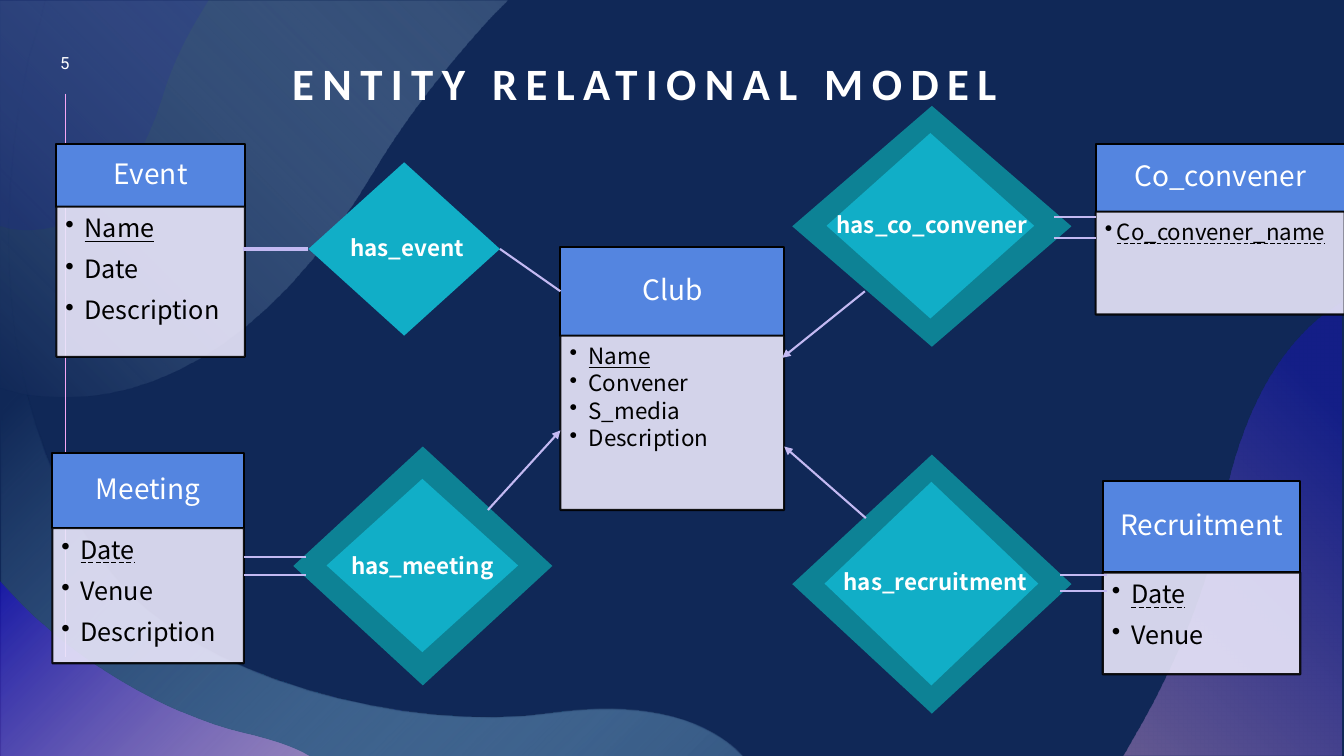
from dataclasses import dataclass

from lxml.etree import SubElement
from pptx import Presentation
from pptx.dml.color import RGBColor as RGB
from pptx.enum.shapes import MSO_CONNECTOR as CONN, MSO_SHAPE as SHAPE
from pptx.enum.text import MSO_ANCHOR as ANCHOR, MSO_UNDERLINE as UNDERLINE, PP_ALIGN as ALIGN
from pptx.oxml.ns import qn
from pptx.util import Inches, Pt

COLS, ROWS = 133.33, 75  # slide grid
CELL = Inches(0.1)
LEFT, RIGHT = 1, 3  # connection sites


@dataclass(frozen=True)
class Theme:
    back: str = "102857"
    head: str = "5485E0"
    body: str = "E9E6FA"
    ring: str = "0D8295"
    diamond: str = "11AEC7"
    link: str = "C3B9F2"
    rule: str = "F6A6F4"
    light: str = "FFFFFF"
    dark: str = "000000"
    title_font: str = "Calibri"
    number_font: str = "Roboto"
    font: str = "Noto Sans CJK SC"
    title_size: float = 32
    head_size: float = 20
    field_size: float = 18
    small_size: float = 16
    number_size: float = 12


T = Theme()

# Each wave: start, segments (2 numbers = line, 6 = cubic curve), fill.
# A fill is (colour, opacity) or (stops, focus rectangle or angle).
WAVES = [
    ((0.2, 0), [(4.6, 0), (4.5, 0.2), (4.1, 2, 3.6, 3.8, 2.9, 5.8),
                (-2.2, 29.5, 3.2, 46.5, 11.1, 56.8), (18.9, 67.2, 40.7, 72.8, 54.8, 70.7),
                (63.4, 69.5, 69.3, 71.1, 72.9, 74.2), (73.7, 75), (0.2, 75)],
     ([(0, "92CDF0", 30), (73, T.back, 100)], (100, 100, 0, 0))),
    ((0.1, 0.1), [(50.3, 0.1), (48.8, 1.6), (44.3, 6.5, 40.3, 11.6, 37.3, 16.6),
                  (26.3, 35.3, 13.4, 40.9, 2.3, 39), (0.1, 38.4)],
     ([(0, T.back, 56), (99, "BEE1F6", 20)], 315)),
    ((0, 0), [(20.7, 0), (20.1, 1), (18.3, 3.9, 16.9, 6.9, 16.1, 9.7),
              (12.8, 20.2, 6.7, 23.6, 1, 22.7), (0, 22.4)],
     ("180DC2", 11)),
    ((0, 57.6), [(1.1, 58.8), (7.1, 65.4, 16.5, 70.9, 24.2, 72.7),
                 (26.4, 73.2, 28.4, 73.8, 30, 74.6), (30.7, 75), (0, 75)],
     ([(0, "F6A6F4", 45), (98, "180DC2", 67)], (100, 100, 0, 0))),
    ((133.1, 29.9), [(133.1, 75), (111.5, 75), (112.7, 72.9),
                     (116.9, 65.6, 120, 57.8, 121.2, 50.9),
                     (123.1, 40.9, 126.8, 34.6, 131.5, 31)],
     ([(0, "F7AFF5", 36), (83, "1C0FE1", 35)], (0, 100, 100, 0))),
]

KEY, PARTIAL_KEY = UNDERLINE.SINGLE_LINE, UNDERLINE.DASH_LINE
TIGHT = dict(before=0, after=2.4)
CARDS = [  # left, top, width, head height, body height, name, fields, key underline, list format
    (108.7, 14.3, 24.7, 6.7, 10.2, "Co_convener", ["Co_convener_name"], PARTIAL_KEY,
     dict(size=15.9, indent=1.2, **TIGHT)),
    (109.4, 47.7, 19.6, 9.1, 10.1, "Recruitment", ["Date", "Venue"], PARTIAL_KEY, {}),
    (55.6, 24.5, 22.2, 8.8, 17.3, "Club", ["Name", "Convener", "S_media", "Description"], KEY,
     dict(size=T.small_size, **TIGHT)),
    (5.2, 44.9, 19, 7.5, 13.4, "Meeting", ["Date", "Venue", "Description"], PARTIAL_KEY, {}),
    (5.6, 14.3, 18.7, 6.2, 14.9, "Event", ["Name", "Date", "Description"], KEY, {}),
]

RELATIONS = [  # name, ring box, diamond box, label box, label alignment
    ("has_event", None, (30.6, 16.1, 19, 17.2), (30.4, 22.7, 20, 7.1), ALIGN.CENTER),
    ("has_meeting", (29.1, 44.3, 25.7, 23.7), (32.4, 47.5, 19, 17.2),
     (33.1, 54.3, 17.6, 6.7), ALIGN.CENTER),
    ("has_co_convener", (78.6, 10.5, 27.7, 23.9), (82, 13.2, 20.6, 18.4),
     (82, 20.5, 21.9, 6.4), ALIGN.LEFT),
    ("has_recruitment", (78.6, 45.1, 27.7, 25.7), (81.8, 47.8, 21.2, 20.2),
     (82.7, 55.9, 20.4, 6.4), ALIGN.LEFT),
]

ARROWS = [(48.4, 50.6, 55.6, 42.7), (85.9, 51.4, 77.8, 44.3), (85.8, 28.9, 77.6, 35.5)]
DOUBLE_LINKS = [(24.2, 30.4, (55.3, 57)), (105.2, 109.8, (57, 58.6)), (104.6, 108.7, (21.5, 23.6))]


def grid(*cells):
    return [round(c * CELL) for c in cells]


def assign(obj, **values):
    for name, value in values.items():
        setattr(obj, name, value)


def set_opacity(sp, percent):
    for color in sp._element.spPr.iter(qn("a:srgbClr")):
        SubElement(color, qn("a:alpha"), val=str(percent * 1000))


def paint(sp, color, line=None):
    sp.shadow.inherit = False
    sp.fill.solid()
    sp.fill.fore_color.rgb = RGB.from_string(color)
    if line:
        sp.line.color.rgb = RGB.from_string(line)
        sp.line.width = Pt(1.5)
    else:
        sp.line.fill.background()


def paint_gradient(sp, stops, direction):
    """Direction is an angle in degrees, or the focus rectangle of a round gradient."""
    paint(sp, T.back)
    sp.fill.background()
    pr = sp._element.spPr
    grad = pr.makeelement(qn("a:gradFill"), rotWithShape="1")
    pr.replace(pr.find(qn("a:noFill")), grad)
    stop_list = SubElement(grad, qn("a:gsLst"))
    for pos, color, opacity in stops:
        gs = SubElement(stop_list, qn("a:gs"), pos=str(pos * 1000))
        clr = SubElement(gs, qn("a:srgbClr"), val=color)
        SubElement(clr, qn("a:alpha"), val=str(opacity * 1000))
    if isinstance(direction, tuple):
        circle = SubElement(grad, qn("a:path"), path="circle")
        SubElement(circle, qn("a:fillToRect"),
                   **{side: str(v * 1000) for side, v in zip("ltrb", direction)})
    else:
        SubElement(grad, qn("a:lin"), ang=str(direction * 60000), scaled="0")


def outline(start, segments, steps=16):
    """Points along the segments, with the curves divided into short steps."""
    points = [start]
    for seg in segments:
        if len(seg) == 2:
            points.append(seg)
            continue
        ctrl = [points[-1], seg[:2], seg[2:4], seg[4:]]
        for t in (i / steps for i in range(1, steps + 1)):
            weights = (1 - t) ** 3, 3 * t * (1 - t) ** 2, 3 * t * t * (1 - t), t ** 3
            points.append(tuple(sum(w * c[axis] for w, c in zip(weights, ctrl)) for axis in (0, 1)))
    return points


def add_wave(shapes, start, segments, fill):
    first, *rest = [grid(*pt) for pt in outline(start, segments)]
    builder = shapes.build_freeform(*first, scale=1.0)
    builder.add_line_segments(rest, close=True)
    sp = builder.convert_to_shape()
    if isinstance(fill[0], str):
        paint(sp, fill[0])
        set_opacity(sp, fill[1])
    else:
        paint_gradient(sp, *fill)


def write(p, text, size, color=T.light, name=T.font, **font):
    r = p.add_run()
    r.text = text
    assign(r.font, name=name, size=Pt(size), **font)
    r.font.color.rgb = RGB.from_string(color)
    return r


def add_label(shapes, box, text, size, align=ALIGN.LEFT, anchor=ANCHOR.TOP, **font):
    tf = shapes.add_textbox(*grid(*box)).text_frame
    assign(tf, word_wrap=True, vertical_anchor=anchor)
    tf.paragraphs[0].alignment = align
    return write(tf.paragraphs[0], text, size, **font)


def add_panel(shapes, box, color, anchor, margins):
    sp = shapes.add_shape(SHAPE.RECTANGLE, *grid(*box))
    paint(sp, color, T.dark)
    left, top, right, bottom = grid(*margins)
    assign(sp.text_frame, word_wrap=True, vertical_anchor=anchor, margin_left=left,
           margin_top=top, margin_right=right, margin_bottom=bottom)
    return sp


def write_fields(tf, fields, underline, size=T.field_size, indent=1.9, before=1, after=9):
    for i, field in enumerate(fields):
        p = tf.add_paragraph() if i else tf.paragraphs[0]
        assign(p, alignment=ALIGN.LEFT, level=1, line_spacing=0.9,
               space_before=Pt(before), space_after=Pt(after))
        pr = p._p.get_or_add_pPr()
        pr.set("marL", str(grid(indent)[0]))
        pr.set("indent", str(-grid(indent)[0]))
        SubElement(pr, qn("a:buChar"), char="•")
        write(p, field, size, T.dark, underline=False if i else underline)


def add_card(shapes, x, y, w, head_h, body_h, name, fields, underline, style):
    head = add_panel(shapes, (x, y, w, head_h), T.head, ANCHOR.MIDDLE, (1.6, 0.9, 1.6, 0.9))
    p = head.text_frame.paragraphs[0]
    assign(p, alignment=ALIGN.CENTER, line_spacing=0.9)
    write(p, name, T.head_size)
    body = add_panel(shapes, (x, y + head_h, w, body_h), T.body, ANCHOR.TOP, (0.9, 0.9, 1.2, 1.4))
    set_opacity(body, 90)
    write_fields(body.text_frame, fields, underline, **style)
    return head


def add_relation(shapes, name, ring, inner, label, align):
    for box, color in ((ring, T.ring), (inner, T.diamond)):
        if box:
            sp = shapes.add_shape(SHAPE.DIAMOND, *grid(*box))
            paint(sp, color)
    add_label(shapes, label, name, T.small_size, align, bold=True)
    return sp


def add_link(shapes, ends, color=T.link, width=1.5, arrow=False):
    c = shapes.add_connector(CONN.STRAIGHT, *grid(*ends))
    c.line.color.rgb = RGB.from_string(color)
    c.line.width = Pt(width)
    if arrow:
        SubElement(c.line._get_or_add_ln(), qn("a:tailEnd"), type="triangle")
    SubElement(c._element.spPr, qn("a:effectLst"))
    return c


def main():
    prs = Presentation()
    prs.slide_width, prs.slide_height = grid(COLS, ROWS)
    s = prs.slides.add_slide(prs.slide_layouts[6])
    s.background.fill.solid()
    s.background.fill.fore_color.rgb = RGB.from_string(T.back)
    shapes = s.shapes
    for wave in WAVES:
        add_wave(shapes, *wave)
    add_link(shapes, (6.5, 9.3, 6.5, 65.2), T.rule, 0.5)
    title = add_label(shapes, (28, 3.8, 77.3, 7.6), "ENTITY RELATIONAL MODEL", T.title_size,
                      anchor=ANCHOR.BOTTOM, name=T.title_font, bold=True)
    title.font._element.set("spc", "600")
    add_label(shapes, (3.6, 4.5, 5.7, 3.4), "5", T.number_size, ALIGN.CENTER, ANCHOR.MIDDLE,
              name=T.number_font)
    heads = {card[5]: add_card(shapes, *card) for card in CARDS}
    diamonds = {relation[0]: add_relation(shapes, *relation) for relation in RELATIONS}
    for ends in ARROWS:
        add_link(shapes, ends, arrow=True)
    for x1, x2, rows in DOUBLE_LINKS:
        for y in rows:
            add_link(shapes, (x1, y, x2, y))
    event_link = add_link(shapes, (30.6, 24.7, 24.1, 24.7), width=2.25)
    event_link.begin_connect(diamonds["has_event"], LEFT)
    club_link = add_link(shapes, (49.6, 24.7, 55.6, 28.9))
    club_link.begin_connect(diamonds["has_event"], RIGHT)
    club_link.end_connect(heads["Club"], LEFT)
    prs.save("out.pptx")


if __name__ == "__main__":
    main()
